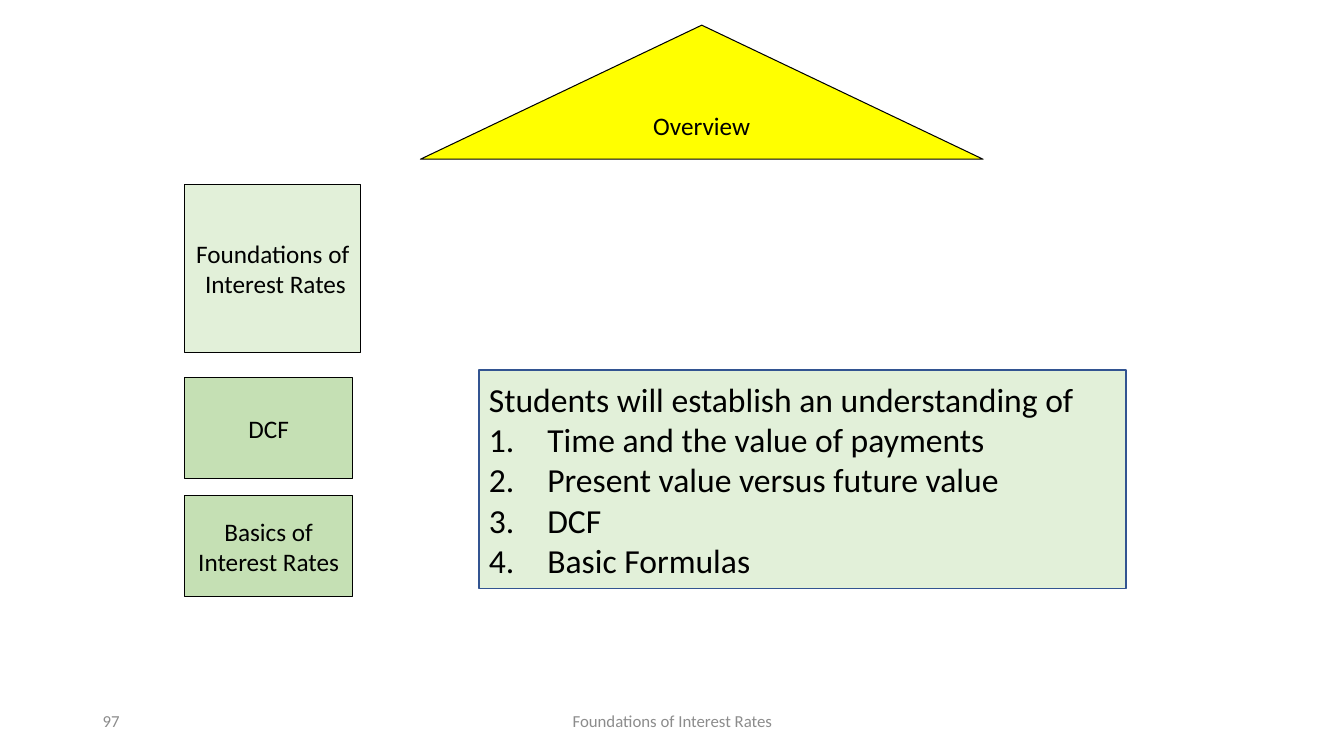
import pptx
import pptx.util
import pptx.dml.color
import pptx.enum.shapes
import pptx.enum.text
import lxml.etree

Inches = pptx.util.Inches
Pt = pptx.util.Pt
SHAPE = pptx.enum.shapes.MSO_SHAPE
ALIGN = pptx.enum.text.PP_ALIGN

THEME = {
    "font": "Calibri",
    "roof": "FFFF00",
    "pale": "E2F0D9",
    "green": "C5E0B4",
    "ink": "000000",
    "border": "325491",
    "muted": "8C8C8C",
    "goal_size": 24,
    "block_size": 18,
    "footer_size": 12,
}

FOOTERS = [
    (["97"], (0.92, 6.95, 3, 0.4), ALIGN.LEFT),
    (["Foundations of Interest Rates"], (4.42, 6.95, 4.5, 0.4), ALIGN.CENTER),
]
BLOCKS = [
    (["Overview"], (4.17, 0.25, 5.58, 1.33), SHAPE.FLOWCHART_EXTRACT, "roof"),
    (["Basics of", "Interest Rates"], (1.83, 4.92, 1.67, 1), SHAPE.RECTANGLE, "green"),
    (["DCF"], (1.83, 3.75, 1.67, 1), SHAPE.RECTANGLE, "green"),
    (["Foundations of", " Interest Rates"], (1.83, 1.83, 1.75, 1.67), SHAPE.RECTANGLE, "pale"),
]
GOALS_BOX = (4.75, 3.67, 6.42, 2.17)
GOALS_INTRO = "Students will establish an understanding of"
GOALS = [
    "Time and the value of payments",
    "Present value versus future value",
    "DCF",
    "Basic Formulas",
]
GOALS_INDENT = 0.58


def color(name):
    return pptx.dml.color.RGBColor.from_string(THEME[name])


def write(box, lines, size, ink, align, wrap):
    frame = box.text_frame
    frame.text = "\n".join(lines)
    frame.word_wrap = wrap
    frame.vertical_anchor = pptx.enum.text.MSO_ANCHOR.MIDDLE
    for paragraph in frame.paragraphs:
        paragraph.alignment = align
        for run in paragraph.runs:
            run.font.name = THEME["font"]
            run.font.size = Pt(THEME[size])
            run.font.color.rgb = color(ink)


def add_block(slide, kind, place, fill, line, width):
    block = slide.shapes.add_shape(kind, *map(Inches, place))
    block.shadow.inherit = False
    block.fill.solid()
    block.fill.fore_color.rgb = color(fill)
    block.line.color.rgb = color(line)
    block.line.width = Pt(width)
    return block


def number_goals(paragraphs):
    for position, paragraph in enumerate(paragraphs):
        properties = paragraph._p.get_or_add_pPr()
        properties.set("marL", str(Inches(GOALS_INDENT)))
        properties.set("indent", str(-Inches(GOALS_INDENT)))
        if position:
            number = lxml.etree.SubElement(properties, pptx.oxml.ns.qn("a:buAutoNum"))
            number.set("type", "arabicPeriod")


def main():
    deck = pptx.Presentation()
    deck.slide_width = Inches(13.33)
    deck.slide_height = Inches(7.5)
    slide = deck.slides.add_slide(deck.slide_layouts[6])

    for lines, place, align in FOOTERS:
        footer = slide.shapes.add_textbox(*map(Inches, place))
        write(footer, lines, "footer_size", "muted", align, True)

    goals = add_block(slide, SHAPE.RECTANGLE, GOALS_BOX, "pale", "border", 1)
    write(goals, [GOALS_INTRO, *GOALS], "goal_size", "ink", ALIGN.LEFT, True)
    number_goals(goals.text_frame.paragraphs)

    for lines, place, kind, fill in BLOCKS:
        block = add_block(slide, kind, place, fill, "ink", 0.75)
        write(block, lines, "block_size", "ink", ALIGN.CENTER, False)

    deck.save("out.pptx")


if __name__ == "__main__":
    main()
